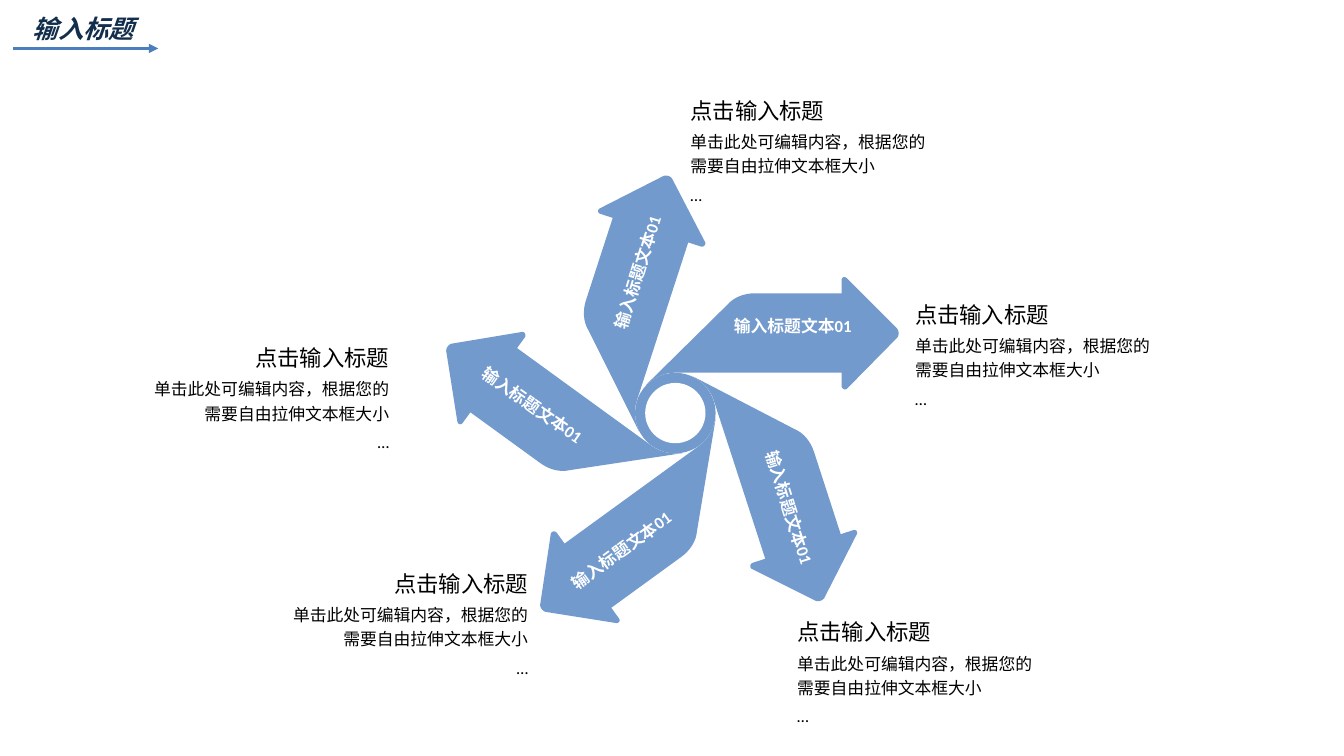
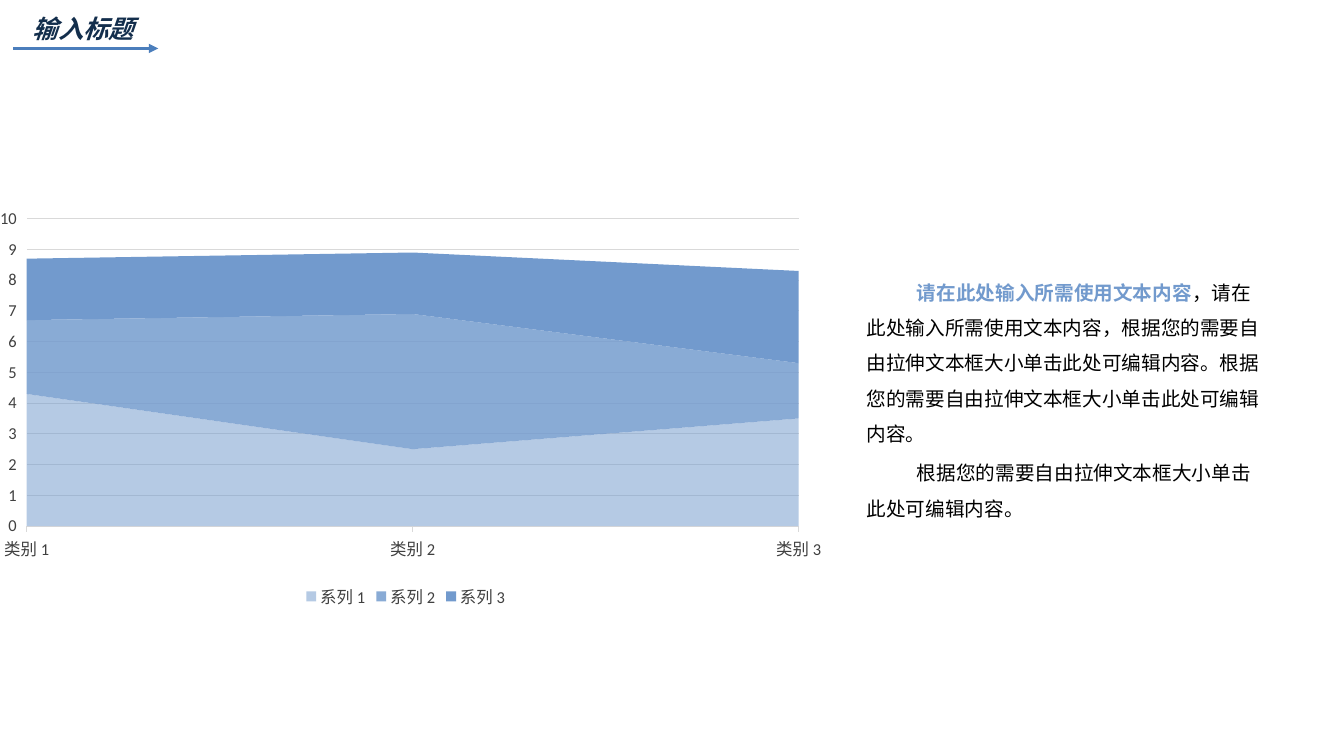
from math import cos, radians, sin
from lxml.etree import SubElement, fromstring
from pptx import Presentation
from pptx.chart.data import CategoryChartData
from pptx.dml.color import RGBColor
from pptx.enum.chart import XL_CHART_TYPE, XL_LEGEND_POSITION, XL_TICK_LABEL_POSITION, XL_TICK_MARK
from pptx.enum.shapes import MSO_CONNECTOR, MSO_SHAPE
from pptx.enum.text import MSO_ANCHOR, PP_ALIGN
from pptx.oxml.ns import qn
from pptx.util import Cm, Pt

FONT = "Calibri"
BLUE = RGBColor(0x72, 0x9A, 0xCD)
RULE = RGBColor(0x4B, 0x7E, 0xBC)
NAVY = RGBColor(0x13, 0x2E, 0x4C)
GREY = RGBColor(0x40, 0x40, 0x40)
GRID = RGBColor(0xD9, 0xD9, 0xD9)
WHITE = RGBColor(0xFF, 0xFF, 0xFF)
BLACK = RGBColor(0, 0, 0)

TITLE = "输入标题"
LABEL = "输入标题文本01"
CAPTION = [("点击输入标题", 16), ("单击此处可编辑内容，根据您的需要自由拉伸文本框大小", 12), ("…", 12)]

HUB = (17.02, 10.41)
BLADES = 5
BLADE = [
    [(4.19, -3.02)],
    [(2.01, -3.02)],
    [(1.73, -3.02), (1.47, -2.92), (1.3, -2.72)],
    [(-0.74, -0.71)],
    [(-0.53, -0.89), (-0.3, -1.02), (0, -1.02)],
    [(4.19, -1.02)],
    [(4.19, -0.69)],
    [(4.19, -0.61), (4.27, -0.58), (4.32, -0.61)],
    [(5.59, -1.9)],
    [(5.64, -1.96), (5.64, -2.06), (5.59, -2.13)],
    [(4.32, -3.4)],
    [(4.27, -3.45), (4.19, -3.43), (4.19, -3.35)],
]
LABELS = [(16.07, 6.86, 287.1), (13.42, 10.21, 35.2), (19.98, 8.2, 0),
          (19.9, 12.78, 72.4), (15.66, 13.87, 323.7)]
CAPTIONS = [(3.48, 8.41, PP_ALIGN.RIGHT), (6.98, 14.1, PP_ALIGN.RIGHT),
            (19.84, 15.32, PP_ALIGN.LEFT), (22.81, 7.32, PP_ALIGN.LEFT),
            (17.15, 2.18, PP_ALIGN.LEFT)]

CATEGORIES = ["类别 1", "类别 2", "类别 3"]
SERIES = [("系列 1", (4.3, 2.5, 3.5), 52), ("系列 2", (2.4, 4.4, 1.8), 83), ("系列 3", (2, 2, 3), 100)]
PLOT = {"x": 0.032, "y": 0.039, "w": 0.953, "h": 0.749}
BODY = [
    [("请在此处输入所需使用文本内容", BLUE, True),
     ("，请在此处输入所需使用文本内容，根据您的需要自由拉伸文本框大小单击此处可编辑内容。"
      "根据您的需要自由拉伸文本框大小单击此处可编辑内容。", BLACK, False)],
    [("根据您的需要自由拉伸文本框大小单击此处可编辑内容。", BLACK, False)],
]


def add_run(p, text, size, color, bold=False, italic=False):
    r = p.add_run()
    r.text = text
    f = r.font
    f.name, f.size, f.bold, f.italic = FONT, Pt(size), bold, italic
    f.color.rgb = color


def add_text(s, x, y, w, h):
    tf = s.shapes.add_textbox(Cm(x), Cm(y), Cm(w), Cm(h)).text_frame
    tf.word_wrap = True
    return tf


def next_paragraph(tf, i, spacing):
    p = tf.add_paragraph() if i else tf.paragraphs[0]
    p.line_spacing = spacing
    p.space_before = Pt(3 if i else 0)
    return p


def paint(sp, color):
    sp.shadow.inherit = False
    sp.fill.solid()
    sp.fill.fore_color.rgb = color
    sp.line.fill.background()


def add_shape(s, kind, cx, cy, w, h, color):
    sp = s.shapes.add_shape(kind, Cm(cx - w / 2), Cm(cy - h / 2), Cm(w), Cm(h))
    paint(sp, color)
    return sp


def add_titled_slide(prs):
    s = prs.slides.add_slide(prs.slide_layouts[6])
    ln = s.shapes.add_connector(MSO_CONNECTOR.STRAIGHT, Cm(0.33), Cm(1.22), Cm(3.99), Cm(1.22))
    ln.line.color.rgb = RULE
    ln.line.width = Pt(2.25)
    SubElement(ln.line._get_or_add_ln(), qn("a:tailEnd"), type="triangle")
    SubElement(ln._element.spPr, qn("a:effectLst"))
    tf = add_text(s, 0.58, 0.2, 3.4, 1.02)
    add_run(tf.paragraphs[0], TITLE, 18, NAVY, True, True)
    return s


def flatten(outline, steps=8):
    points = []
    for segment in outline:
        if len(segment) == 1:
            points += segment
            continue
        curve = [points[-1], *segment]
        for k in range(1, steps + 1):
            t = k / steps
            weights = ((1 - t) ** 3, 3 * t * (1 - t) ** 2, 3 * t * t * (1 - t), t ** 3)
            points.append(tuple(sum(w * c[axis] for w, c in zip(weights, curve)) for axis in (0, 1)))
    return points


def add_blade(s, angle):
    c, n = cos(radians(angle)), sin(radians(angle))
    points = [(Cm(HUB[0] + x * c - y * n), Cm(HUB[1] + x * n + y * c)) for x, y in flatten(BLADE)]
    fb = s.shapes.build_freeform(*points[0])
    fb.add_line_segments(points[1:], close=True)
    paint(fb.convert_to_shape(), BLUE)


def build_pinwheel(prs):
    s = add_titled_slide(prs)
    for i in range(BLADES):
        add_blade(s, i * 360 / BLADES)
    for diameter, color in ((2.03, BLUE), (1.52, WHITE)):
        add_shape(s, MSO_SHAPE.OVAL, *HUB, diameter, diameter, color)
    for cx, cy, angle in LABELS:
        sp = add_shape(s, MSO_SHAPE.RECTANGLE, cx, cy, 3.58, 0.76, BLUE)
        sp.rotation = angle
        tf = sp.text_frame
        tf.word_wrap = False
        tf.vertical_anchor = MSO_ANCHOR.MIDDLE
        p = tf.paragraphs[0]
        p.alignment = PP_ALIGN.CENTER
        add_run(p, LABEL, 12, WHITE, True)
    for x, y, align in CAPTIONS:
        tf = add_text(s, x, y, 6.58, 3.12)
        for i, (text, size) in enumerate(CAPTION):
            p = next_paragraph(tf, i, 1.2)
            p.alignment = align
            add_run(p, text, size, BLACK)


def set_plot_area(chart):
    area = chart._chartSpace.chart.plotArea
    for old in area.findall(qn("c:layout")):
        area.remove(old)
    edges = "".join(f'<c:{k}Mode val="edge"/>' for k in "xy")
    sizes = "".join(f'<c:{k} val="{v}"/>' for k, v in PLOT.items())
    area.insert(0, fromstring(
        '<c:layout xmlns:c="http://schemas.openxmlformats.org/drawingml/2006/chart"><c:manualLayout>'
        f'<c:layoutTarget val="inner"/>{edges}{sizes}</c:manualLayout></c:layout>'))
    for cross in area.iter(qn("c:crossBetween")):
        cross.set("val", "midCat")


def style_font(font, size):
    font.name, font.size = FONT, Pt(size)
    font.color.rgb = GREY


def add_area_chart(s):
    data = CategoryChartData()
    data.categories = CATEGORIES
    for name, values, _ in SERIES:
        data.add_series(name, values)
    chart = s.shapes.add_chart(XL_CHART_TYPE.AREA_STACKED, Cm(0), Cm(5.11), Cm(20.7), Cm(10.34), data).chart
    style_font(chart.font, 10)
    chart.has_title = False
    chart.has_legend = True
    chart.legend.position = XL_LEGEND_POSITION.BOTTOM
    chart.legend.include_in_layout = False
    cat, val = chart.category_axis, chart.value_axis
    for part in (cat.tick_labels, val.tick_labels, chart.legend):
        style_font(part.font, 11.9)
    for axis in (cat, val):
        axis.major_tick_mark = XL_TICK_MARK.OUTSIDE
        axis.minor_tick_mark = XL_TICK_MARK.NONE
        axis.tick_label_position = XL_TICK_LABEL_POSITION.NEXT_TO_AXIS
    cat.has_major_gridlines = False
    val.has_major_gridlines = True
    val.minimum_scale, val.maximum_scale, val.major_unit = 0, 10, 1
    val.format.line.fill.background()
    for line in (cat.format.line, val.major_gridlines.format.line):
        line.color.rgb = GRID
        line.width = Pt(0.75)
    plot = chart.plots[0]
    plot.vary_by_categories = False
    for series, (_, _, opacity) in zip(plot.series, SERIES):
        series.format.fill.solid()
        series.format.fill.fore_color.rgb = BLUE
        series.format.line.fill.background()
        if opacity < 100:
            color = next(series._element.iter(qn("a:srgbClr")))
            SubElement(color, qn("a:alpha"), val=str(opacity * 1000))
    set_plot_area(chart)


def build_chart_slide(prs):
    s = add_titled_slide(prs)
    add_area_chart(s)
    tf = add_text(s, 21.84, 6.78, 10.16, 6.4)
    tf.margin_left = tf.margin_top = tf.margin_right = tf.margin_bottom = 0
    for i, runs in enumerate(BODY):
        p = next_paragraph(tf, i, 1.5)
        p._p.get_or_add_pPr().set("indent", str(Cm(1.27)))
        for text, color, bold in runs:
            add_run(p, text, 14, color, bold)


def main():
    prs = Presentation()
    prs.slide_width, prs.slide_height = Cm(33.87), Cm(19.05)
    build_pinwheel(prs)
    build_chart_slide(prs)
    prs.save("out.pptx")


if __name__ == "__main__":
    main()
